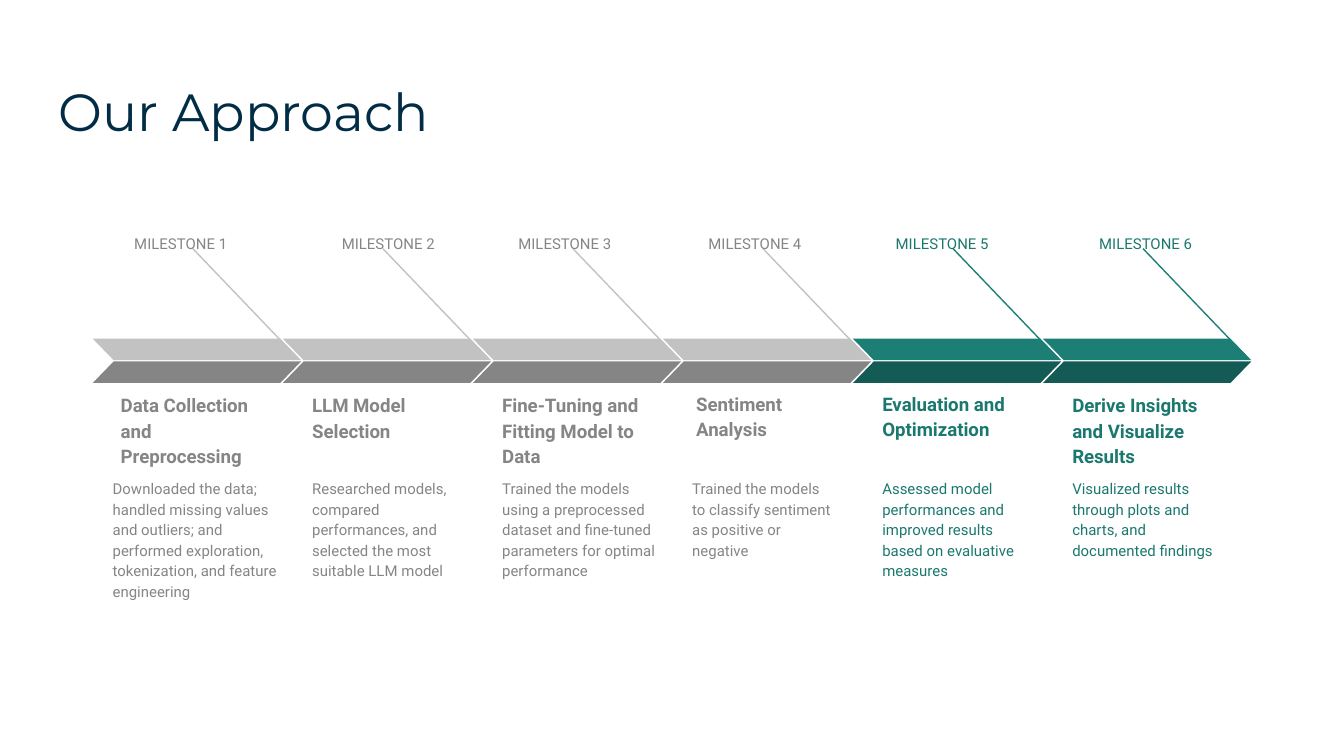
from lxml.etree import SubElement
from pptx import Presentation
from pptx.dml.color import RGBColor
from pptx.enum.shapes import MSO_CONNECTOR, MSO_SHAPE
from pptx.enum.text import MSO_ANCHOR, PP_ALIGN
from pptx.oxml.ns import qn
from pptx.util import Inches, Pt

COLS, ROWS = 100, 56.25
WIDTH = Inches(10)
HEIGHT = WIDTH * 9 // 16
PITCH = 14.14
COLORS = {"navy": "002D45", "silver": "C2C2C2", "gray": "858585",
          "teal": "1D7E75", "pine": "155B55", "green": "1B786F"}
TONES = {"past": ("silver", "gray", "gray"), "next": ("teal", "pine", "green")}
FONTS = {
    "title": {"name": "Montserrat", "size": Pt(28)},
    "head": {"name": "Roboto", "size": Pt(10), "bold": True},
    "body": {"name": "Roboto", "size": Pt(8)},
}
FLOW = {
    "title": {},
    "head": {"line_spacing": 1.15},
    "body": {"line_spacing": 1.15, "space_after": Pt(16)},
}
STEPS = [
    {"tone": "past", "tag": 9.9, "head": (1.1, 13.1, 13.6, 6.3), "body": (0.5, 14.3),
     "name": "Data Collection and Preprocessing",
     "text": "Downloaded the data; handled missing values and outliers; and "
             "performed exploration, tokenization, and feature engineering"},
    {"tone": "past", "tag": 11.2, "head": (1.2, 11.8, 12.8, 5.7), "body": (1.2, 12.8),
     "name": "LLM Model Selection",
     "text": "Researched models, compared performances, and selected the most "
             "suitable LLM model"},
    {"tone": "past", "tag": 10.2, "head": (1.2, 13.1, 12.8, 6.3), "body": (1.2, 14.1),
     "name": "Fine-Tuning and Fitting Model to Data",
     "text": "Trained the models using a preprocessed dataset and fine-tuned "
             "parameters for optimal performance"},
    {"tone": "past", "tag": 10.2, "head": (1.5, 11.1, 12.8, 6.3), "body": (1.2, 12.6),
     "name": "Sentiment Analysis",
     "text": "Trained the models to classify sentiment as positive or negative"},
    {"tone": "next", "tag": 10, "head": (1.2, 13.1, 12.8, 4.3), "body": (1.2, 12.8),
     "name": "Evaluation and Optimization",
     "text": "Assessed model performances and improved results based on "
             "evaluative measures"},
    {"tone": "next", "tag": 11, "head": (1.2, 13.1, 12.8, 6.3), "body": (1.2, 12.8),
     "name": "Derive Insights and Visualize Results",
     "text": "Visualized results through plots and charts, and documented findings"},
]


def scale(*cells):
    """Turn alternating column and row counts into slide lengths."""
    units = (WIDTH / COLS, HEIGHT / ROWS)
    return [round(cell * units[i % 2]) for i, cell in enumerate(cells)]


def color(key):
    """Look up a named colour."""
    return RGBColor.from_string(COLORS[key])


def write(slide, box, text, style, ink, anchor=MSO_ANCHOR.TOP, align=PP_ALIGN.LEFT):
    """Add one wrapped paragraph in a text box."""
    frame = slide.shapes.add_textbox(*scale(*box)).text_frame
    frame.word_wrap = True
    frame.vertical_anchor = anchor
    for side in ("left", "top", "right", "bottom"):
        setattr(frame, f"margin_{side}", Inches(0.1))
    para = frame.paragraphs[0]
    para.alignment = align
    run = para.add_run()
    run.text = text
    run.font.color.rgb = color(ink)
    for target, values in ((para, FLOW[style]), (run.font, FONTS[style])):
        for key, value in values.items():
            setattr(target, key, value)


def band(slide, box, fill, flip=False):
    """Add one slanted half of an arrow."""
    shape = slide.shapes.add_shape(MSO_SHAPE.PARALLELOGRAM, *scale(*box))
    shape.adjustments[0] = 0.97
    shape.shadow.inherit = False
    shape.fill.solid()
    shape.fill.fore_color.rgb = color(fill)
    shape.line.fill.background()
    if flip:
        shape._element.spPr.find(qn("a:xfrm")).set("flipH", "1")


def leader(slide, ends, ink):
    """Add the thin line from a label to its arrow."""
    line = slide.shapes.add_connector(MSO_CONNECTOR.STRAIGHT, *scale(*ends))
    line.line.color.rgb = color(ink)
    line.line.width = Pt(0.75)
    SubElement(line._element.spPr, qn("a:effectLst"))


def milestone(slide, box, count, step):
    """Place one milestone's line, arrow and texts within its box."""
    left, top, width, height = box
    light, dark, ink = TONES[step["tone"]]
    leader(slide, (left + 7.45, top + 2.1, left + 15.3, top + 10.3), light)
    band(slide, (left, top + 8.8, width, 1.6), light, True)
    band(slide, (left, top + 10.5, width, 1.6), dark)
    x, y, wide, tall = step["head"]
    write(slide, (left + x, top + y, wide, tall), step["name"], "head", ink,
          MSO_ANCHOR.BOTTOM)
    x, wide = step["body"]
    write(slide, (left + x, top + 18.1, wide, height - 18.1), step["text"], "body", ink)
    write(slide, (left + 1.1, top + 0.1, step["tag"], 2.6), f"MILESTONE {count}", "body",
          ink, align=PP_ALIGN.RIGHT)


def timeline(slide, box):
    """Lay the milestones out at an equal pitch."""
    left, top, width, height = box
    wide = width - PITCH * (len(STEPS) - 1)
    for i, step in enumerate(STEPS):
        milestone(slide, (left + i * PITCH, top, wide, height), i + 1, step)


def main():
    """Build and save the slide."""
    deck = Presentation()
    deck.slide_width, deck.slide_height = WIDTH, HEIGHT
    slide = deck.slides.add_slide(deck.slide_layouts[6])
    write(slide, (3.4, 4.9, 93.2, 6.3), "Our Approach", "title", "navy")
    timeline(slide, (6.9, 16.4, 86.2, 26.2))
    deck.save("out.pptx")


if __name__ == "__main__":
    main()
